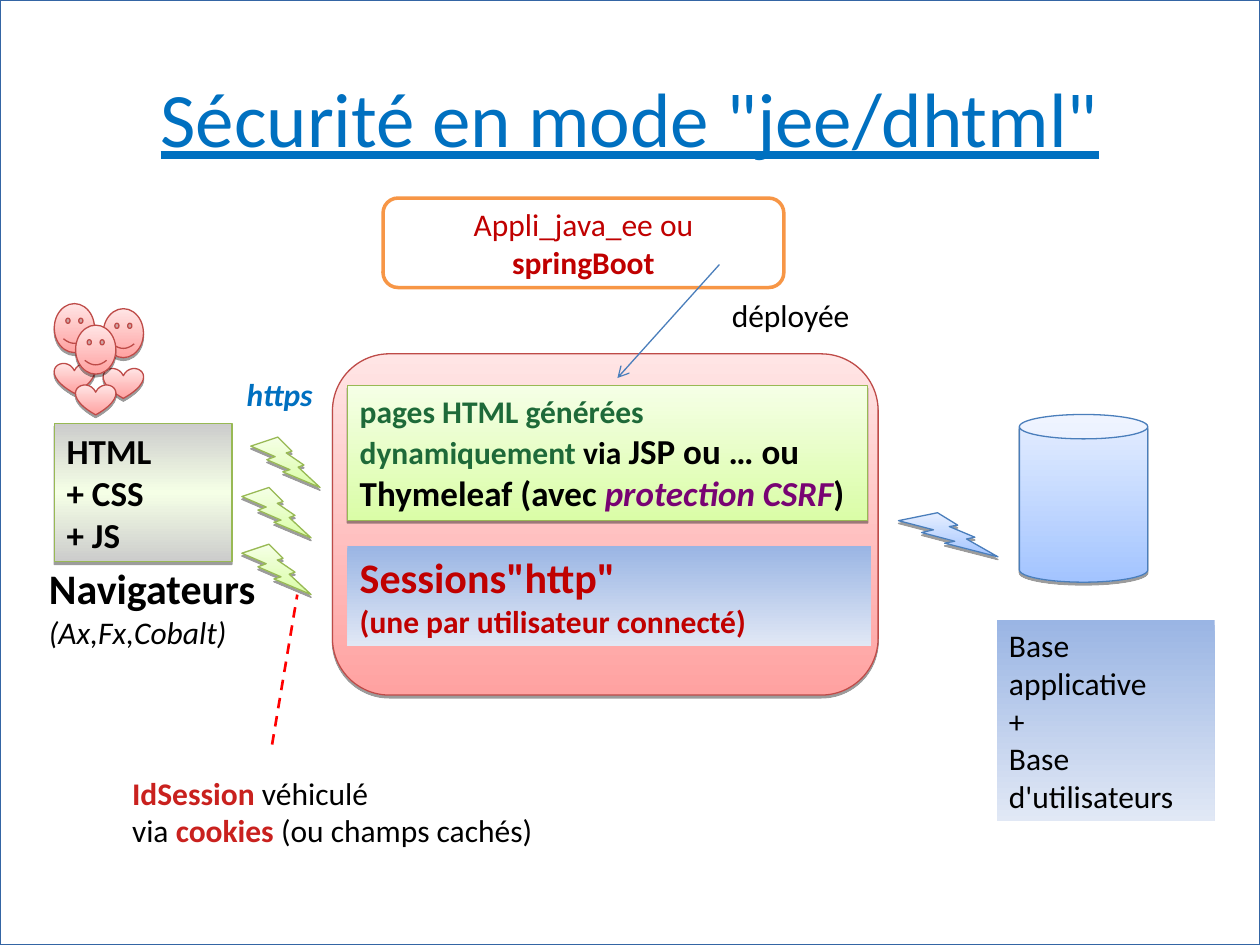
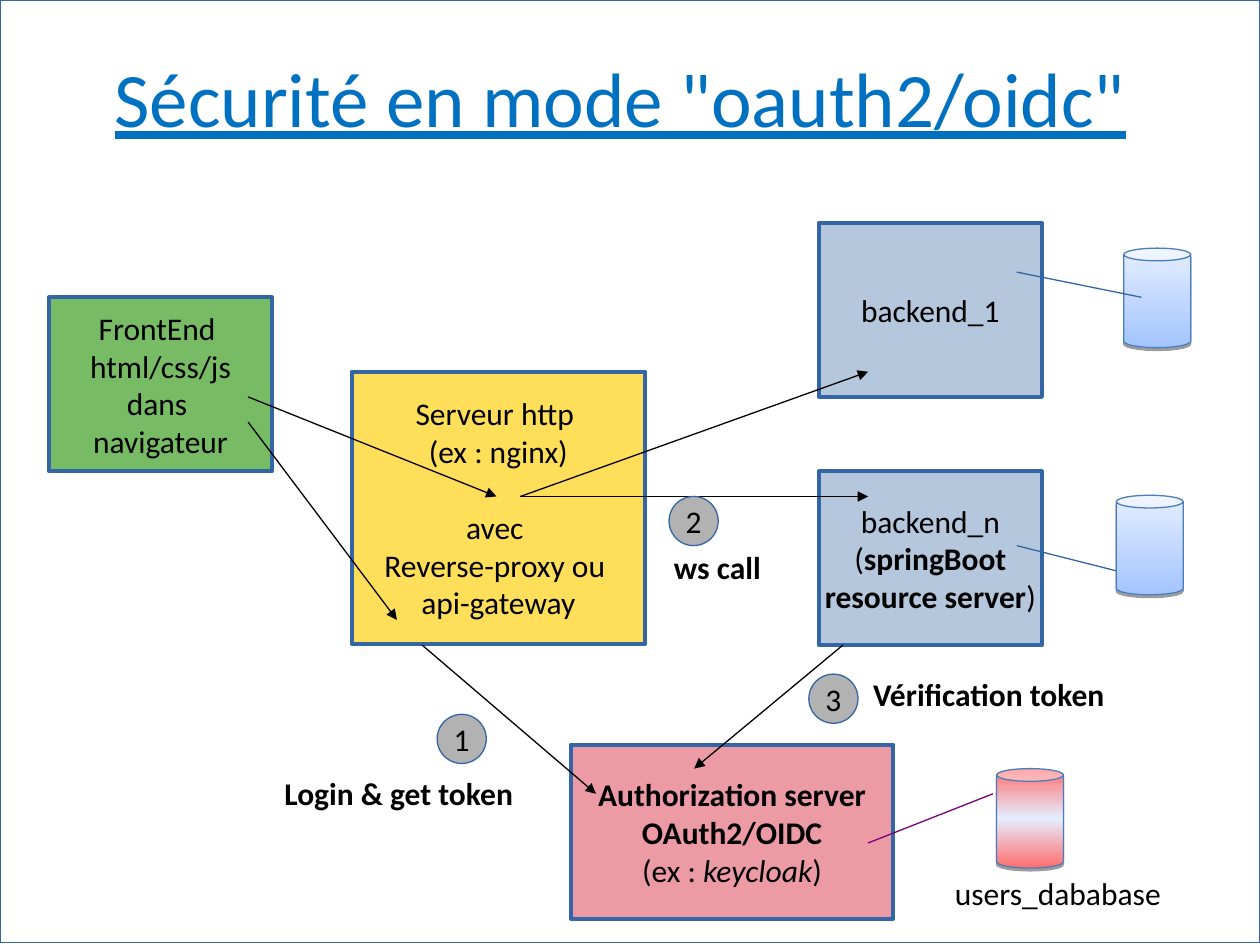
import copy

import pptx
import pptx.dml.color
import pptx.enum.dml
import pptx.enum.shapes
import pptx.enum.text
import pptx.oxml
import pptx.oxml.ns
import pptx.util

Pt = pptx.util.Pt
SHAPE = pptx.enum.shapes.MSO_SHAPE
ALIGN = pptx.enum.text.PP_ALIGN
ANCHOR = pptx.enum.text.MSO_ANCHOR

FONT = "Calibri"
COLORS = {
    "black": "000000", "white": "FFFFFF", "title": "0070C0", "frame": "3465A4",
    "dark red": "C00000", "crimson": "C9211E", "red": "FF0000",
    "dark green": "1E6A39", "purple": "780373", "orange": "F79646",
    "front": "77BC65", "proxy": "FFDE59", "backend": "B4C7DC",
    "auth": "EC9BA4", "step": "B2B2B2",
    "pink line": "BE4B48", "green line": "98B954", "blue line": "4A7EBB",
}
# Gradient stops from top to bottom
GRADIENTS = {
    "pink": ["FFE5E5", "FFA2A1"],
    "lime": ["F5FFE6", "DAFDA7"],
    "blue": ["E5EEFF", "A3C4FF"],
    "panel": ["9AB5E4", "E1E8F5"],
    "browser": ["CCCCCC", "F5FFE6", "CCCCCC"],
    "users": ["FF6D6D", "E5EEFF", "FF6D6D"],
}

BOLD = {"bold": True}
ITALIC = {"italic": True}
RED_BOLD = {"bold": True, "color": "crimson"}
BLACK_20 = {"color": "black", "size": 20}

# A paragraph is a list of spans; a span is a text or (text, what differs).
BROWSER_TEXT = [["HTML \n+ CSS \n+ JS"]]
SESSIONS_TEXT = [[("Sessions\"http\"\n", {"size": 24}), "(une par utilisateur connecté)"]]
PAGES_TEXT = [["pages HTML générées dynamiquement", (" via ", {"color": "black"}),
               ("JSP ou … ou Thymeleaf (avec ", BLACK_20),
               ("protection CSRF", {"color": "purple", "size": 20, "italic": True}),
               (")", BLACK_20)]]
DATABASE_TEXT = [["Base applicative\n+"], ["Base d'utilisateurs"]]
APP_TEXT = [["Appli_java_ee ou ", ("springBoot", BOLD)]]

JEE_LABELS = [
    ((20.9, 318.2, 137.5, 57.6),
     [[("Navigateurs", {"bold": True, "size": 24}), " \n", ("(Ax,Fx,Cobalt)", ITALIC)]], {}),
    ((411.1, 165.6, 82.1, 28.8), [["déployée"]], {}),
    ((133.9, 211, 56, 28.8), [["https"]],
     {"color": "title", "bold": True, "italic": True}),
    ((68.4, 438.5, 243.4, 50.4),
     [[("IdSession", RED_BOLD), " véhiculé \nvia ", ("cookies", RED_BOLD),
       " (ou champs cachés)"]], {}),
]
USERS = [(31, 173.5), (59, 176.4), (43.2, 185.8)]
HTTPS_BOLTS = [(143.3, 249.8), (138.2, 278.6), (138.2, 311)]

BACKEND_X, BACKEND_SIZE = 468, (127.4, 99.4)
OAUTH_BLOCKS = [
    ((28.1, 169.9, *BACKEND_SIZE), "front",
     [["FrontEnd "], ["html/css/js\ndans "], ["navigateur"]]),
    ((200.9, 212.4, 167.8, 155.5), "proxy",
     [["Serveur http "], ["(ex : nginx)"], ["avec "], ["Reverse-proxy ou \napi-gateway"]]),
    ((BACKEND_X, 127.4, *BACKEND_SIZE), "backend", [["backend_1"]]),
    ((BACKEND_X, 269.3, *BACKEND_SIZE), "backend",
     [["backend_n\n(", ("springBoot\nresource server", BOLD), ")"]]),
    ((326.2, 425.5, 184.3, 99.4), "auth",
     [[("Authorization server\nOAuth2/OIDC\n", BOLD), "(ex : ", ("keycloak", ITALIC), ")"]]),
]
OAUTH_DATABASES = [(642.2, 141.8, "blue"), (569.5, 439.2, "users"), (637.9, 283, "blue")]
DATABASE_LINKS = [
    ((581, 155.5), (652.3, 169.9), "frame"),
    ((581, 311.8), (637.9, 326.2), "frame"),
    ((567.4, 453.6), (496.1, 481.7), "purple"),
]
CALLS = [
    ((141.8, 241.2), (226.8, 354.2)),
    ((241.2, 368.6), (340.6, 453.6)),
    ((141.8, 226.8), (283.7, 283.7)),
    ((297.4, 283.7), (496.1, 283.7)),
    ((297.4, 283.7), (496.1, 212.4)),
    ((481.7, 368.6), (396.7, 439.2)),
]
STEPS = [(249.8, 408.2), (382.3, 283.7), (462.2, 385.2)]
OAUTH_LABELS = [
    ((538.6, 496.1, 132.5, 28.8), [["users_dababase"]], {}),
    ((378, 309.6, 75.6, 36), [["ws call"]], BOLD),
    ((155.5, 438.5, 146.2, 28.8), [["Login & get token"]], BOLD),
    ((491.8, 382.3, 175, 50.4), [["Vérification token"]], BOLD),
]


def rgb(name):
    return pptx.dml.color.RGBColor.from_string(COLORS[name])


def set_font(font, size=None, color=None, bold=None, italic=None):
    if size:
        font.size = Pt(size)
    if color:
        font.color.rgb = rgb(color)
    if bold is not None:
        font.bold = bold
    if italic is not None:
        font.italic = italic


def write(shape, paragraphs, align=ALIGN.LEFT, anchor=ANCHOR.TOP, wrap=True, **style):
    frame = shape.text_frame
    frame.word_wrap = wrap
    frame.vertical_anchor = anchor
    for number, spans in enumerate(paragraphs):
        para = frame.add_paragraph() if number else frame.paragraphs[0]
        para.alignment = align
        para.font.name = FONT
        set_font(para.font, **{"size": 18, "color": "black", **style})
        for span in spans:
            text, changes = (span, {}) if isinstance(span, str) else span
            for line_number, line in enumerate(text.split("\n")):
                if line_number:
                    para.add_line_break()
                if line:
                    run = para.add_run()
                    run.text = line
                    set_font(run.font, **changes)


def fill_gradient(shape, colors):
    shape.fill.gradient()
    shape.fill.gradient_angle = 270
    stops = shape.fill.gradient_stops
    if len(colors) == 3:
        last = shape._element.spPr.find(".//" + pptx.oxml.ns.qn("a:gsLst"))[-1]
        last.addprevious(copy.deepcopy(last))
        stops = shape.fill.gradient_stops
    for number, (stop, color) in enumerate(zip(stops, colors)):
        stop.color.rgb = pptx.dml.color.RGBColor.from_string(color)
        stop.position = number / (len(colors) - 1)


def add_shadow(shape):
    effects = shape._element.spPr.find(pptx.oxml.ns.qn("a:effectLst"))
    effects.append(pptx.oxml.parse_xml(
        f'<a:outerShdw {pptx.oxml.ns.nsdecls("a")} blurRad="0" dist="{Pt(1.6)}" dir="5400000" '
        'rotWithShape="0"><a:srgbClr val="000000"><a:alpha val="38000"/></a:srgbClr>'
        '</a:outerShdw>'))


def add_shape(page, kind, place, fill=None, line=None, width=0.75, shadow=False):
    shape = page.shapes.add_shape(kind, *map(Pt, place))
    shape.shadow.inherit = False
    if fill in GRADIENTS:
        fill_gradient(shape, GRADIENTS[fill])
    elif fill:
        shape.fill.solid()
        shape.fill.fore_color.rgb = rgb(fill)
    else:
        shape.fill.background()
    if line:
        shape.line.color.rgb = rgb(line)
        shape.line.width = Pt(width)
    else:
        shape.line.fill.background()
    if shadow:
        add_shadow(shape)
    return shape


def add_database(page, place, fill):
    can = add_shape(page, SHAPE.CAN, place, fill, "blue line", shadow=True)
    can.adjustments[0] = 0.19


def add_line(page, start, end, color, width=0.75, head=None):
    line = page.shapes.add_connector(
        pptx.enum.shapes.MSO_CONNECTOR.STRAIGHT, *map(Pt, start + end))
    line.line.color.rgb = rgb(color)
    line.line.width = Pt(width)
    if head:
        line.line._get_or_add_ln().append(pptx.oxml.parse_xml(
            f'<a:tailEnd {pptx.oxml.ns.nsdecls("a")} type="{head}"/>'))
    line._element.spPr.append(pptx.oxml.parse_xml(
        f'<a:effectLst {pptx.oxml.ns.nsdecls("a")}/>'))
    return line


def add_labels(page, labels):
    for place, paragraphs, style in labels:
        box = page.shapes.add_textbox(*map(Pt, place))
        write(box, paragraphs, wrap=False, **style)


def add_page(deck, title, place):
    page = deck.slides.add_slide(deck.slide_layouts[5])
    box = page.shapes.title
    box.left, box.top, box.width, box.height = map(Pt, place)
    write(box, [[title]], ALIGN.CENTER, ANCHOR.MIDDLE, size=44, color="title")
    box.text_frame.paragraphs[0].font.underline = True
    return page


def add_frame(page, height):
    add_shape(page, SHAPE.RECTANGLE, (0, 0, 720, height), line="frame")


def build_jee(deck):
    page = add_page(deck, 'Sécurité en mode "jee/dhtml"', (36, 21.6, 648, 90))
    add_shape(page, SHAPE.ROUNDED_RECTANGLE, (190, 202.2, 311.8, 195),
              "pink", "pink line", shadow=True)
    browser = add_shape(page, SHAPE.RECTANGLE, (31, 242, 101.5, 79),
                        "browser", "green line", shadow=True)
    write(browser, BROWSER_TEXT, size=20, bold=True)
    sessions = add_shape(page, SHAPE.RECTANGLE, (198.5, 311.8, 299.5, 57.6), "panel")
    write(sessions, SESSIONS_TEXT, color="dark red", bold=True)
    databases = add_shape(page, SHAPE.RECTANGLE, (569.5, 354.2, 124.6, 115.2), "panel")
    write(databases, DATABASE_TEXT)
    pages = add_shape(page, SHAPE.RECTANGLE, (198.5, 220.3, 297.4, 77),
                      "lime", "green line", shadow=True)
    write(pages, PAGES_TEXT, color="dark green", bold=True)
    for left, top in USERS:
        add_shape(page, SHAPE.SMILEY_FACE, (left, top, 23, 28),
                  "pink", "pink line", shadow=True)
        add_shape(page, SHAPE.HEART, (left, top + 34, 23, 17.3),
                  "pink", "pink line", shadow=True)
    add_database(page, (582.5, 236.9, 73.4, 95.8), "blue")
    add_shape(page, SHAPE.LIGHTNING_BOLT, (513.4, 293, 56.9, 25.2),
              "blue", "blue line", shadow=True)
    for left, top in HTTPS_BOLTS:
        add_shape(page, SHAPE.LIGHTNING_BOLT, (left, top, 39.6, 28.8),
                  "lime", "green line", shadow=True)
    app = add_shape(page, SHAPE.ROUNDED_RECTANGLE, (218.9, 113.2, 229, 51.1),
                    "white", "orange", 2)
    write(app, APP_TEXT, ALIGN.CENTER, ANCHOR.MIDDLE, color="dark red")
    add_line(page, (411.1, 151.2), (352.8, 216), "blue line", head="arrow")
    add_labels(page, JEE_LABELS)
    cookie_link = add_line(page, (155.5, 425.5), (169.9, 339.8), "red", 1.5)
    cookie_link.line.dash_style = pptx.enum.dml.MSO_LINE.DASH
    add_frame(page, 540)


def build_oauth(deck):
    page = add_page(deck, 'Sécurité en mode "oauth2/oidc"', (14.4, 10.1, 680.4, 90))
    for place, fill, paragraphs in OAUTH_BLOCKS:
        block = add_shape(page, SHAPE.RECTANGLE, place, fill, "frame", 2.3)
        write(block, paragraphs, ALIGN.CENTER, ANCHOR.MIDDLE, wrap=False)
        if fill == "proxy":
            block.text_frame.paragraphs[2].space_before = Pt(21.6)
    for left, top, fill in OAUTH_DATABASES:
        add_database(page, (left, top, 38.2, 56.9), fill)
    for start, end, color in DATABASE_LINKS:
        add_line(page, start, end, color)
    for start, end in CALLS:
        add_line(page, start, end, "black", head="triangle")
    for number, (left, top) in enumerate(STEPS, 1):
        step = add_shape(page, SHAPE.OVAL, (left, top, 28.1, 28.1), "step", "frame")
        write(step, [[str(number)]], ALIGN.CENTER, ANCHOR.MIDDLE, wrap=False)
    add_labels(page, OAUTH_LABELS)
    add_frame(page, 538.6)


def main():
    deck = pptx.Presentation()
    deck.slide_width, deck.slide_height = Pt(720), Pt(540)
    build_jee(deck)
    build_oauth(deck)
    deck.save("out.pptx")


if __name__ == "__main__":
    main()
